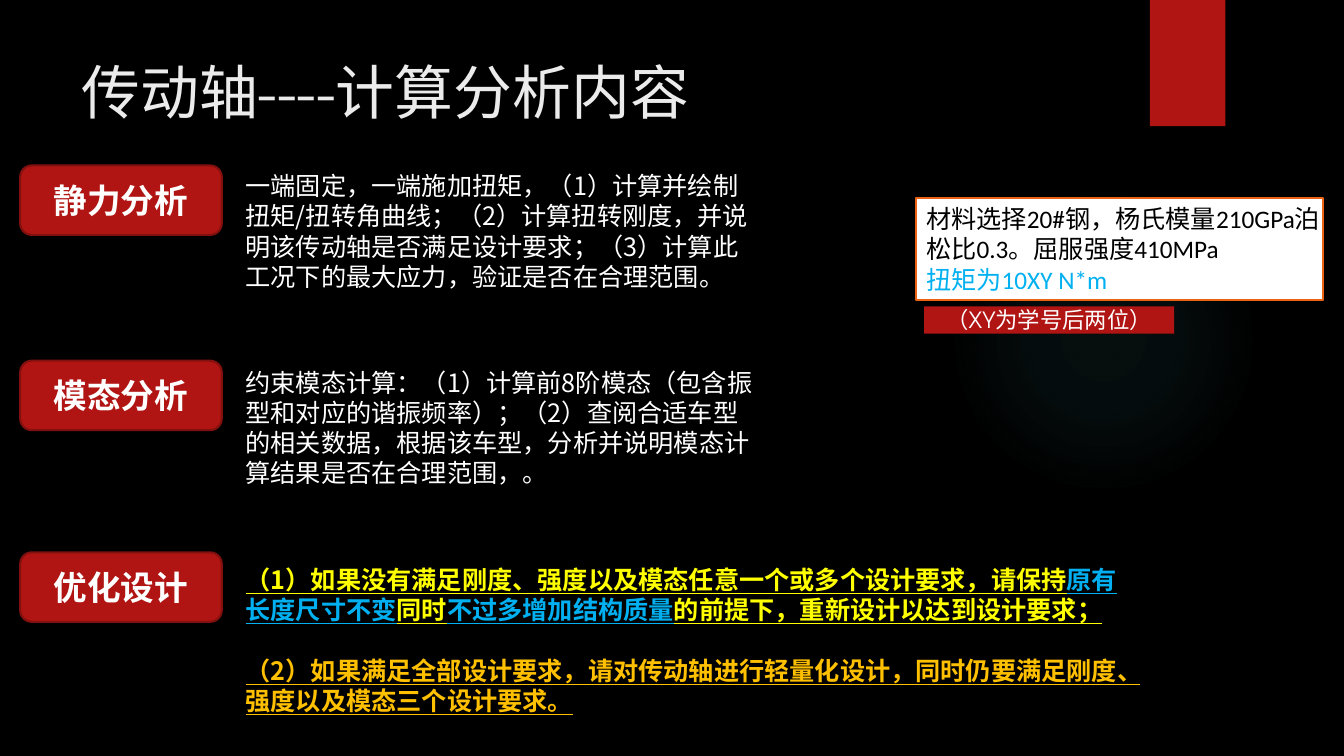
from dataclasses import dataclass

from lxml.etree import SubElement
from pptx import Presentation
from pptx.dml.color import RGBColor
from pptx.enum.shapes import MSO_SHAPE as Preset
from pptx.enum.text import MSO_ANCHOR as Anchor, PP_ALIGN as Align
from pptx.oxml.ns import qn
from pptx.util import Cm, Pt


@dataclass(frozen=True)
class Theme:
    background: str = "000000"
    red: str = "B01513"
    dark_red: str = "82100E"
    orange: str = "EA6312"
    glow: str = "50B9C1"
    white: str = "FFFFFF"
    black: str = "000000"
    heading: str = "EBEBEB"
    yellow: str = "FFFF00"
    amber: str = "FFC000"
    blue: str = "00B0F0"
    title_font: str = "TeX Gyre Adventor"
    text_font: str = "Noto Sans CJK SC"
    number_font: str = "Calibri"
    title_size: int = 42
    label_size: int = 24
    body_size: int = 18
    note_size: int = 16
    line_height: float = 21.6


THEME = Theme()


def format_run(run, size, color, font=THEME.text_font, bold=False, underline=False):
    run.font.size = Pt(size)
    run.font.name = font
    run.font.bold = bold
    run.font.underline = underline
    run.font.color.rgb = RGBColor.from_string(color)
    properties = run.font._element
    SubElement(properties, qn("a:ea")).set("typeface", font)


def add_runs(paragraph, parts, **style):
    """Write (text, overrides) parts as body runs on a fixed line height."""
    paragraph.line_spacing = Pt(THEME.line_height)
    for text, overrides in parts:
        run = paragraph.add_run()
        run.text = text
        format_run(run, THEME.body_size, **{**style, **overrides})


def add_block(slide, preset, box, fill, line=None):
    shape = slide.shapes.add_shape(preset, *map(Cm, box))
    shape.shadow.inherit = False
    shape.fill.solid()
    shape.fill.fore_color.rgb = RGBColor.from_string(fill)
    if line:
        shape.line.color.rgb = RGBColor.from_string(line)
        shape.line.width = Pt(1.5)
    else:
        shape.line.fill.background()
    return shape


def set_label(shape, text, size, font, bold=False):
    frame = shape.text_frame
    frame.text = text
    frame.vertical_anchor = Anchor.MIDDLE
    paragraph = frame.paragraphs[0]
    paragraph.alignment = Align.CENTER
    format_run(paragraph.runs[0], size, THEME.white, font, bold)


def add_backdrop(slide):
    """Black background, faint round glow and the red tab."""
    slide.background.fill.solid()
    slide.background.fill.fore_color.rgb = RGBColor.from_string(THEME.background)
    glow = add_block(slide, Preset.OVAL, (23.9, 4.65, 7.82, 7.82), THEME.glow)
    glow.fill.gradient()
    gradient = glow._element.spPr.find(qn("a:gradFill"))
    for child in list(gradient):
        gradient.remove(child)
    stops = SubElement(gradient, qn("a:gsLst"))
    for position, opacity in ((0, 7), (36, 6), (69, 0)):
        stop = SubElement(stops, qn("a:gs"), pos=str(position * 1000))
        color = SubElement(stop, qn("a:srgbClr"), val=THEME.glow)
        SubElement(color, qn("a:alpha"), val=str(opacity * 1000))
    circle = SubElement(gradient, qn("a:path"))
    circle.set("path", "circle")
    SubElement(circle, qn("a:fillToRect"), {side: "50000" for side in "ltrb"})
    add_block(slide, Preset.RECTANGLE, (28.98, 0, 1.9, 3.18), THEME.red)


def add_title(slide, box, text):
    title = slide.shapes.title
    title.left, title.top, title.width, title.height = map(Cm, box)
    frame = title.text_frame
    frame.text = text
    frame.vertical_anchor = Anchor.TOP
    paragraph = frame.paragraphs[0]
    paragraph.alignment = Align.LEFT
    format_run(paragraph.runs[0], THEME.title_size, THEME.heading, THEME.title_font)


def add_section(slide, box, label, paragraphs, text_drop=0, **style):
    """A red label at the left of the box and its text to the right."""
    left, top, width, height = box
    label_width, text_offset = 5.08, 5.43
    pill = add_block(slide, Preset.ROUNDED_RECTANGLE, (left, top, label_width, 1.75),
                     THEME.red, THEME.dark_red)
    set_label(pill, label, THEME.label_size, THEME.text_font, bold=True)
    text_box = slide.shapes.add_textbox(Cm(left + text_offset), Cm(top + text_drop),
                                        Cm(width - text_offset), Cm(height))
    frame = text_box.text_frame
    frame.word_wrap = True
    for index, parts in enumerate(paragraphs):
        paragraph = frame.add_paragraph() if index else frame.paragraphs[0]
        if index:
            paragraph.space_before = Pt(THEME.line_height)
        add_runs(paragraph, parts, **style)


def add_material_card(slide, box):
    """White data card with the red note below it."""
    left, top, width, height = box
    note = add_block(slide, Preset.RECTANGLE, (left + 0.2, top + 2.72, 6.3, 0.69), THEME.red)
    set_label(note, "（XY为学号后两位）", THEME.note_size, THEME.title_font)
    note.text_frame.word_wrap = False

    card = add_block(slide, Preset.RECTANGLE, box, THEME.white, THEME.orange)
    frame = card.text_frame
    frame.word_wrap = True
    frame.vertical_anchor = Anchor.TOP
    frame.margin_right = Cm(0.05)
    number = {"font": THEME.number_font}
    material = [("材料选择", {}), ("20#", number), ("钢，杨氏模量", {}), ("210GPa", number),
                ("泊松比", {}), ("0.3", number), ("。屈服强度", {}), ("410MPa", number)]
    torque = [("扭矩为", {}), ("10XY N*m", number)]
    for paragraph, parts, color in ((frame.paragraphs[0], material, THEME.black),
                                    (frame.add_paragraph(), torque, THEME.blue)):
        paragraph.alignment = Align.LEFT
        add_runs(paragraph, parts, color=color)


def main():
    presentation = Presentation()
    presentation.slide_width, presentation.slide_height = Cm(33.87), Cm(19.05)
    slide = presentation.slides.add_slide(presentation.slide_layouts[5])

    add_backdrop(slide)
    add_title(slide, (1.8, 1.27, 26.14, 3.89), "传动轴----计算分析内容")

    # Analysis sections
    add_section(slide, (0.51, 4.17, 18.79, 3.33), "静力分析", [[(
        "一端固定，一端施加扭矩，（1）计算并绘制扭矩/扭转角曲线；（2）计算扭转刚度，"
        "并说明该传动轴是否满足设计要求；（3）计算此工况下的最大应力，验证是否在合理范围。", {})]],
        color=THEME.white)
    add_section(slide, (0.51, 9.09, 18.79, 3.33), "模态分析", [[(
        "约束模态计算：（1）计算前8阶模态（包含振型和对应的谐振频率）；（2）查阅合适车型的相关数据，"
        "根据该车型，分析并说明模态计算结果是否在合理范围，。", {})]],
        text_drop=0.03, color=THEME.white)

    # Design section with highlighted constraints
    blue, amber = {"color": THEME.blue}, {"color": THEME.amber}
    add_section(slide, (0.51, 13.92, 28.47, 4.11), "优化设计", [
        [("（1）如果没有满足刚度、强度以及模态任意一个或多个设计要求，请保持", {}),
         ("原有长度尺寸不变", blue), ("同时", {}), ("不过多增加结构质量", blue),
         ("的前提下，重新设计以达到设计要求；", {})],
        [("（2）如果满足全部设计要求，请对传动轴进行轻量化设计，"
          "同时仍要满足刚度、强度以及模态三个设计要求。", amber)]],
        text_drop=0.18, color=THEME.yellow, bold=True, underline=True)

    add_material_card(slide, (23.09, 5.0, 10.26, 2.57))
    presentation.save("out.pptx")


if __name__ == "__main__":
    main()
